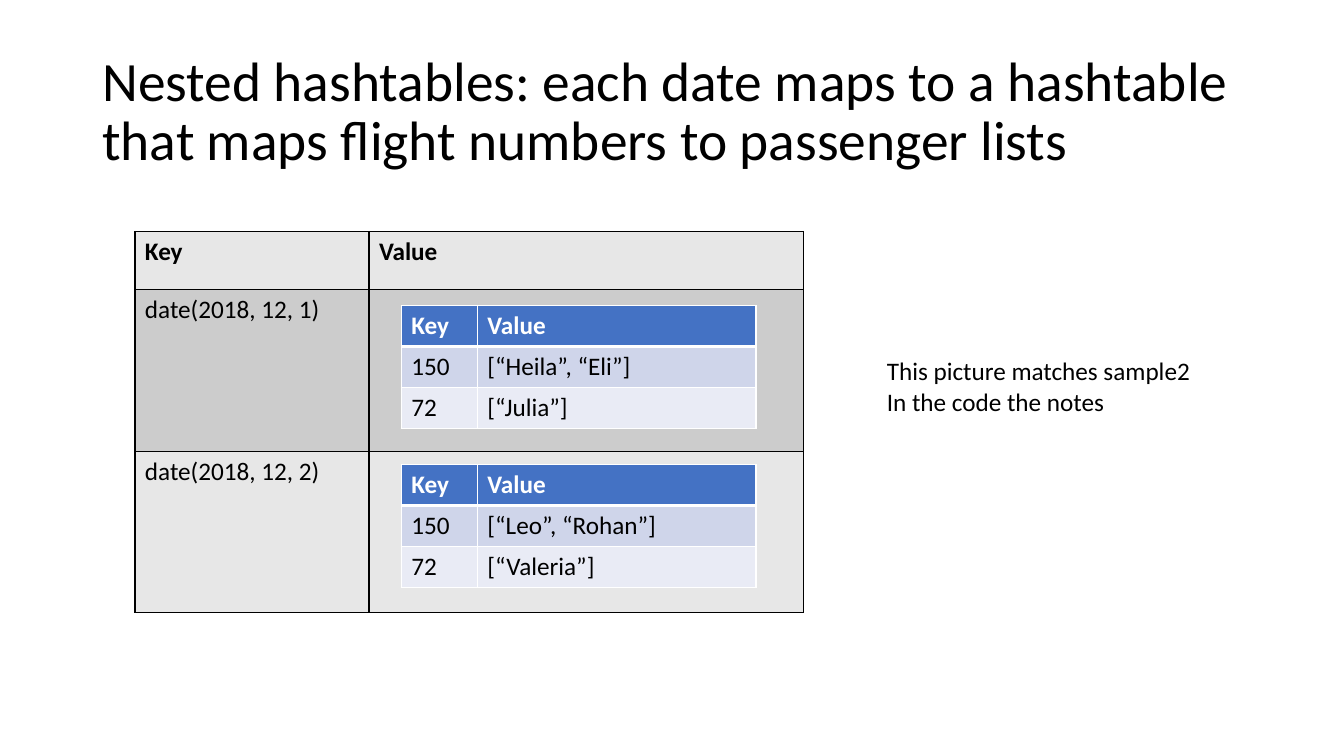
from lxml.etree import SubElement
from pptx import Presentation
from pptx.dml.color import RGBColor
from pptx.enum.text import MSO_ANCHOR as Anchor
from pptx.oxml.ns import qn
from pptx.util import Cm, Pt

FONT = "Calibri"
BLACK = RGBColor(0x00, 0x00, 0x00)
WHITE = RGBColor(0xFF, 0xFF, 0xFF)
LIGHT_GREY = RGBColor(0xE7, 0xE7, 0xE7)
MID_GREY = RGBColor(0xCC, 0xCC, 0xCC)
BLUE = RGBColor(0x44, 0x72, 0xC4)
MID_BLUE = RGBColor(0xCF, 0xD5, 0xEA)
PALE_BLUE = RGBColor(0xE9, 0xEB, 0xF5)

TITLE = ("Nested hashtables: each date maps to a hashtable "
         "that maps flight numbers to passenger lists")
HEADER = ("Key", "Value")
# date key, top of its flight table in cm, passengers by flight number
DATES = [
    ("date(2018, 12, 1)", 7.7, [("150", "[“Heila”, “Eli”]"), ("72", "[“Julia”]")]),
    ("date(2018, 12, 2)", 11.71, [("150", "[“Leo”, “Rohan”]"), ("72", "[“Valeria”]")]),
]


def format_text(frame, size, color=BLACK, bold=False):
    for paragraph in frame.paragraphs:
        for run in paragraph.runs:
            font = run.font
            font.name, font.size, font.bold = FONT, Pt(size), bold
            font.color.rgb = color


def add_text(slide, text, left, top, width, height, size, wrap=True):
    box = slide.shapes.add_textbox(Cm(left), Cm(top), Cm(width), Cm(height))
    frame = box.text_frame
    frame.word_wrap = wrap
    frame.text = text
    format_text(frame, size)
    return frame


def set_borders(cell, color, top, bottom):
    """Line all four sides; top and bottom are widths in points."""
    properties = cell._tc.get_or_add_tcPr()
    for side, width in (("L", 1), ("R", 1), ("T", top), ("B", bottom)):
        line = SubElement(properties, qn(f"a:ln{side}"), w=str(Pt(width)))
        fill = SubElement(line, qn("a:solidFill"))
        SubElement(fill, qn("a:srgbClr"), val=str(color))


def add_hashtable(slide, left, top, widths, heights, entries, fills,
                  line_color, header_color, header_rule=1):
    """Draw a key/value table; header_rule is the line under the header in points."""
    rows = [HEADER, *entries]
    frame = slide.shapes.add_table(len(rows), len(widths), Cm(left), Cm(top),
                                   Cm(sum(widths)), Cm(sum(heights)))
    table = frame.table
    table.first_row = table.horz_banding = False
    for column, width in zip(table.columns, widths):
        column.width = Cm(width)
    for index, (row, height, texts, fill) in enumerate(
            zip(table.rows, heights, rows, fills)):
        row.height = Cm(height)
        is_header = index == 0
        for cell, text in zip(row.cells, texts):
            set_borders(cell, line_color,
                        top=header_rule if index == 1 else 1,
                        bottom=header_rule if is_header else 1)
            cell.fill.solid()
            cell.fill.fore_color.rgb = fill
            cell.text_frame.text = text
            format_text(cell.text_frame, 18,
                        header_color if is_header else BLACK, is_header)


def main():
    deck = Presentation()
    deck.slide_width, deck.slide_height = Cm(33.87), Cm(19.05)
    slide = deck.slides.add_slide(deck.slide_layouts[6])

    title = add_text(slide, TITLE, 2.33, 1.01, 29.21, 3.68, 39.6)
    title.vertical_anchor = Anchor.MIDDLE
    title.paragraphs[0].line_spacing = 0.9

    add_hashtable(slide, 3.4, 5.83, (5.9, 10.95), (1.47, 4.07, 4.07),
                  [(date, "") for date, _, _ in DATES],
                  (LIGHT_GREY, MID_GREY, LIGHT_GREY), BLACK, BLACK)
    for _, top, flights in DATES:
        add_hashtable(slide, 10.11, top, (1.92, 7.02), (1.03,) * 3, flights,
                      (BLUE, MID_BLUE, PALE_BLUE), WHITE, WHITE, header_rule=3)

    add_text(slide, "This picture matches sample2\nIn the code the notes",
             22.1, 8.84, 8.26, 1.8, 18, wrap=False)
    deck.save("out.pptx")


if __name__ == "__main__":
    main()
